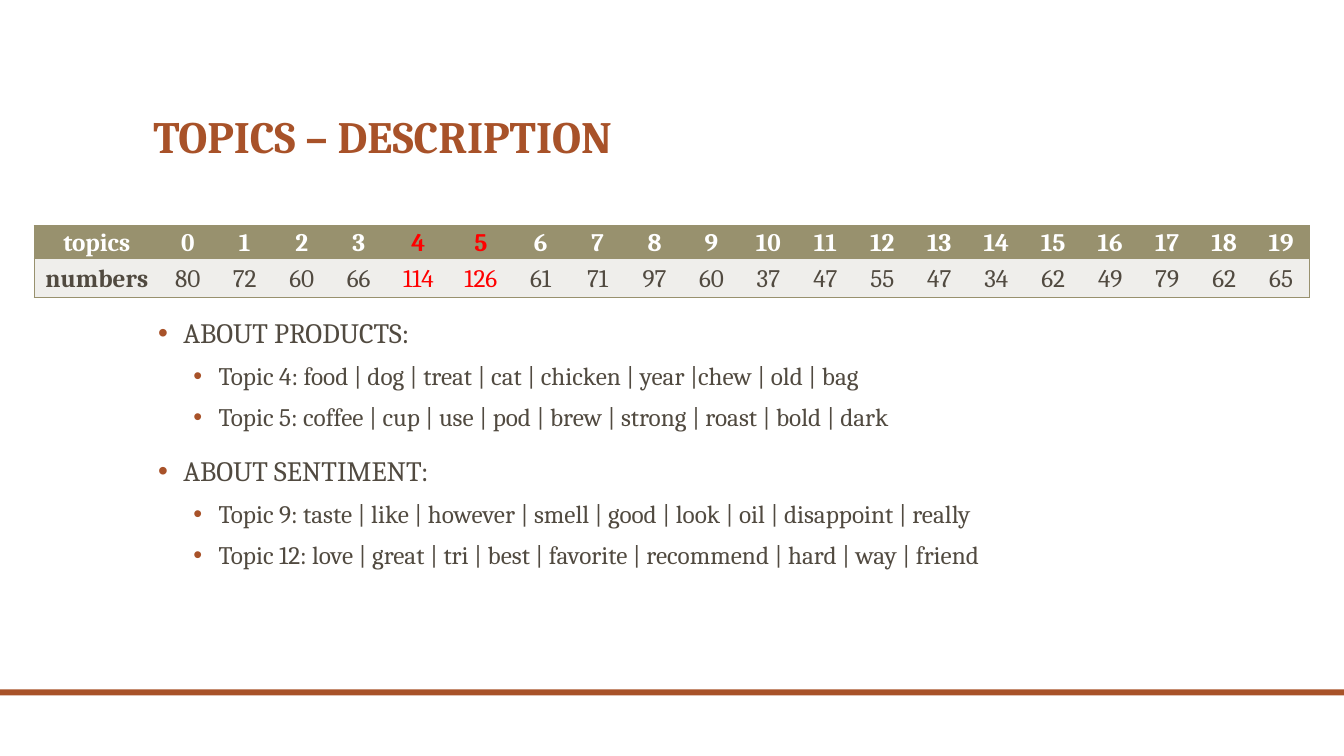
import pptx
import pptx.dml.color
import pptx.enum.shapes
import pptx.enum.text
import pptx.oxml
import pptx.oxml.ns
import pptx.util
from pptx.util import Inches

RUST, BROWN, OLIVE, PALE = "A85229", "514A40", "98916E", "EFEEEB"
WHITE, RED = "FFFFFF", "FF0000"

NUMBERS = [80, 72, 60, 66, 114, 126, 61, 71, 97, 60,
           37, 47, 55, 47, 34, 62, 49, 79, 62, 65]
HIGHLIGHTED = (4, 5)
SECTIONS = {
    "ABOUT PRODUCTS:": [
        "Topic 4: food | dog | treat | cat | chicken | year |chew | old | bag",
        "Topic 5: coffee | cup | use | pod | brew | strong | roast | bold | dark",
    ],
    "ABOUT SENTIMENT:": [
        "Topic 9: taste | like | however | smell | good | look | oil | disappoint | really",
        "Topic 12: love | great | tri | best | favorite | recommend | hard | way | friend",
    ],
}


def color(hex_string):
    return pptx.dml.color.RGBColor.from_string(hex_string)


def write(para, text, size=18, ink=BROWN, bold=False, align="LEFT", spacing=0.9, before=0):
    para.alignment = getattr(pptx.enum.text.PP_ALIGN, align)
    para.line_spacing = spacing
    para.space_before = pptx.util.Pt(before)
    span = para.add_run()
    span.text = text
    span.font.name = "Cambria"
    span.font.size = pptx.util.Pt(size)
    span.font.bold = bold
    span.font.color.rgb = color(ink)


def add_bullet(para, indent):
    properties = para._p.get_or_add_pPr()
    properties.set("marL", str(Inches(indent)))
    properties.set("indent", str(Inches(-0.25)))
    namespace = pptx.oxml.ns.nsdecls("a")
    for xml in (f'<a:buClr {namespace}><a:srgbClr val="{RUST}"/></a:buClr>',
                f'<a:buFont {namespace} typeface="Arial"/>',
                f'<a:buChar {namespace} char="•"/>'):
        properties.append(pptx.oxml.parse_xml(xml))


def set_borders(cell, visible):
    """Draw the sides named in visible (letters of LRTB) and clear the others."""
    properties = cell._tc.get_or_add_tcPr()
    for index, side in enumerate("LRTB"):
        paint = (f'<a:solidFill><a:srgbClr val="{OLIVE}"/></a:solidFill>'
                 if side in visible else "<a:noFill/>")
        line = f'<a:ln{side} {pptx.oxml.ns.nsdecls("a")} w="12700">{paint}</a:ln{side}>'
        properties.insert(index, pptx.oxml.parse_xml(line))


class TopicSlide:
    def __init__(self, deck):
        self.page = deck.slides.add_slide(deck.slide_layouts[5])

    def bar(self, left, top, width, height):
        box = self.page.shapes.add_shape(
            pptx.enum.shapes.MSO_SHAPE.RECTANGLE,
            Inches(left), Inches(top), Inches(width), Inches(height))
        box.shadow.inherit = False
        box.fill.solid()
        box.fill.fore_color.rgb = color(RUST)
        box.line.fill.background()

    def title(self, text, left, top, width, height):
        box = self.page.shapes.title
        box.left, box.top = Inches(left), Inches(top)
        box.width, box.height = Inches(width), Inches(height)
        frame = box.text_frame
        frame.auto_size = pptx.enum.text.MSO_AUTO_SIZE.NONE
        frame.vertical_anchor = pptx.enum.text.MSO_ANCHOR.BOTTOM
        write(frame.paragraphs[0], text, size=32, ink=RUST, bold=True)

    def outline(self, sections, left, top, width, height):
        box = self.page.shapes.add_textbox(
            Inches(left), Inches(top), Inches(width), Inches(height))
        frame = box.text_frame
        frame.word_wrap = True
        para = frame.paragraphs[0]
        for number, (heading, topics) in enumerate(sections.items()):
            if number:
                para = frame.add_paragraph()
            write(para, heading, size=20, before=18 if number else 0)
            add_bullet(para, 0.3)
            for topic in topics:
                para = frame.add_paragraph()
                para.level = 1
                write(para, topic, before=10)
                add_bullet(para, 0.65)

    def table(self, rows, widths, heights, left, top):
        table = self.page.shapes.add_table(
            len(rows), len(widths), Inches(left), Inches(top),
            Inches(sum(widths)), Inches(sum(heights))).table
        table.horz_banding = False
        for column, width in zip(table.columns, widths):
            column.width = Inches(width)
        for r, values in enumerate(rows):
            table.rows[r].height = Inches(heights[r])
            for c, value in enumerate(values):
                self.cell(table.cell(r, c), value, header=r == 0, first=c == 0,
                          last=c == len(widths) - 1, marked=c - 1 in HIGHLIGHTED)

    def cell(self, cell, value, header, first, last, marked):
        cell.fill.solid()
        cell.fill.fore_color.rgb = color(OLIVE if header else PALE)
        cell.vertical_anchor = pptx.enum.text.MSO_ANCHOR.MIDDLE
        cell.margin_left = cell.margin_right = Inches(0.07)
        cell.margin_top = cell.margin_bottom = 0
        ink = RED if marked else WHITE if header else BROWN
        write(cell.text_frame.paragraphs[0], str(value), ink=ink,
              bold=header or first, align="CENTER", spacing=1.07)
        set_borders(cell, "TB" + "L" * first + "R" * last)


def main():
    deck = pptx.Presentation()
    deck.slide_width, deck.slide_height = Inches(13.33), Inches(7.5)
    slide = TopicSlide(deck)
    slide.bar(0, 6.84, 13.33, 0.06)
    slide.title("TOPICS – DESCRIPTION", 1.42, 0.42, 10.5, 1.25)
    slide.outline(SECTIONS, 1.42, 3.12, 10.5, 3.38)
    widths = [1.24] + [0.62 if topic in HIGHLIGHTED else 0.565
                       for topic in range(len(NUMBERS))]
    rows = [["topics", *range(len(NUMBERS))], ["numbers", *NUMBERS]]
    slide.table(rows, widths, [0.32, 0.39], 0.34, 2.24)
    deck.save("out.pptx")


if __name__ == "__main__":
    main()
